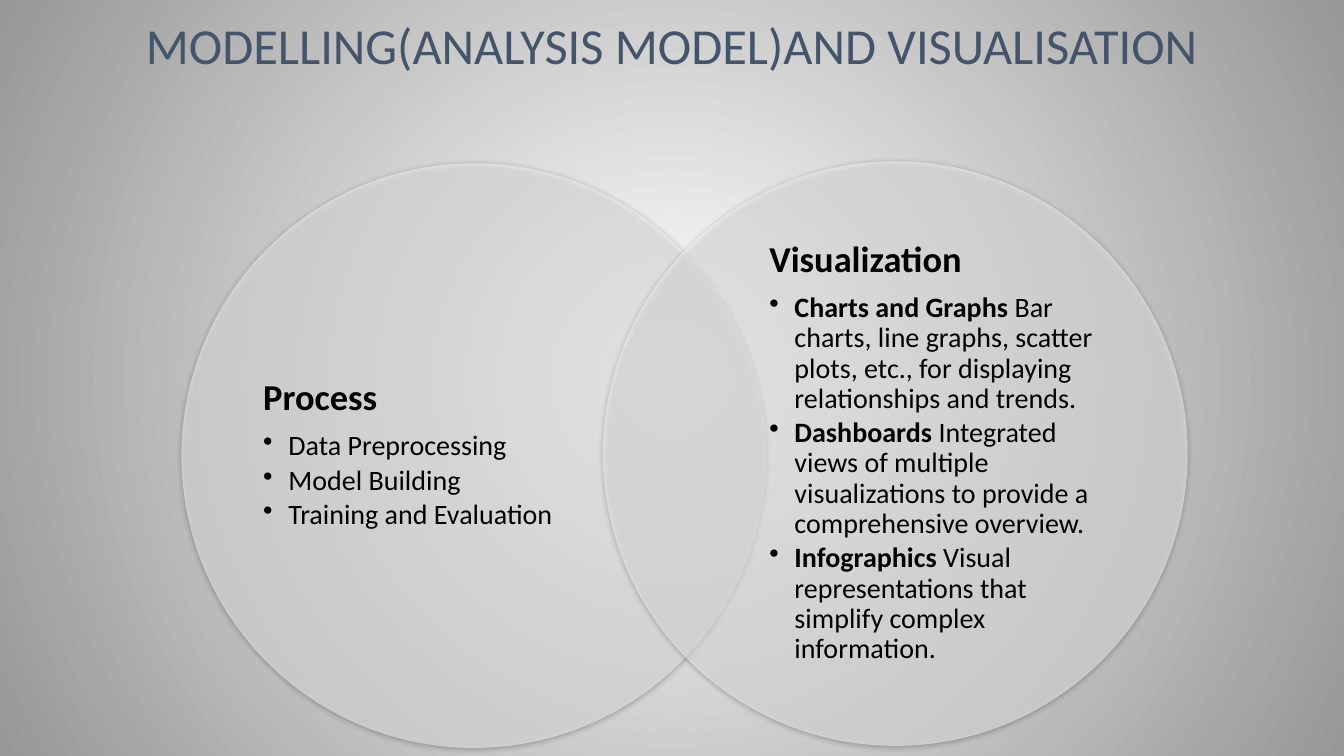
from lxml import etree
from pptx import Presentation
from pptx import util as u
from pptx.dml.color import RGBColor
from pptx.enum import shapes, text
from pptx.oxml import parse_xml
from pptx.oxml.ns import nsdecls, qn

WHITE = RGBColor(0xFF, 0xFF, 0xFF)
EDGE_GREY = RGBColor(0x97, 0x97, 0x97)
BLACK = RGBColor(0, 0, 0)
TITLE_BLUE = RGBColor(0x44, 0x54, 0x6A)

DIAMETER = 5.8
TEXT_WIDTH, TEXT_HEIGHT, TEXT_DROP = 3.35, 4.43, 0.68

# Each circle: left, top, text left, heading, bullets as (bold part, plain part)
CIRCLES = [
    (1.8, 1.62, 2.61, "Process", [
        ("", "Data Preprocessing"),
        ("", "Model Building"),
        ("", "Training and Evaluation"),
    ]),
    (5.98, 1.6, 7.63, "Visualization", [
        ("Charts and Graphs", " Bar charts, line graphs, scatter plots, etc., "
         "for displaying relationships and trends."),
        ("Dashboards", " Integrated views of multiple visualizations to "
         "provide a comprehensive overview."),
        ("Infographics", " Visual representations that simplify complex "
         "information."),
    ]),
]


def set_all(target, values):
    for name, value in values.items():
        setattr(target, name, value)


class VennSlide:
    font = "Calibri"
    line_spacing = 0.9

    def __init__(self, deck):
        self.slide = deck.slides.add_slide(deck.slide_layouts[6])

    def radial_background(self, center, edge):
        fill = self.slide.background.fill
        fill.gradient()
        for stop, color in zip(fill.gradient_stops, (center, edge)):
            stop.color.rgb = color
        gradient = self.slide._element.find(".//" + qn("a:gradFill"))
        gradient.remove(gradient.find(qn("a:lin")))
        gradient.append(parse_xml(
            f'<a:path {nsdecls("a")} path="circle"><a:fillToRect l="50000" '
            't="50000" r="50000" b="50000"/></a:path>'))

    def circle(self, left, top):
        """Add a half-transparent white circle with a soft shadow below it."""
        shape = self.slide.shapes.add_shape(
            shapes.MSO_SHAPE.OVAL, u.Inches(left), u.Inches(top),
            u.Inches(DIAMETER), u.Inches(DIAMETER))
        shape.fill.solid()
        shape.fill.fore_color.rgb = WHITE
        shape.line.fill.background()
        shape.shadow.inherit = False
        properties = shape._element.spPr
        color = properties.find(qn("a:solidFill"))[0]
        etree.SubElement(color, qn("a:alpha"), val="50000")
        properties.find(qn("a:effectLst")).append(parse_xml(
            f'<a:outerShdw {nsdecls("a")} blurRad="{u.Pt(3.5)}" '
            f'dist="{u.Pt(1.1)}" dir="5400000" rotWithShape="0">'
            '<a:srgbClr val="000000"><a:alpha val="45000"/></a:srgbClr>'
            '</a:outerShdw>'))

    def text_box(self, left, top, width, height):
        box = self.slide.shapes.add_textbox(*map(u.Inches, (left, top, width, height)))
        frame = box.text_frame
        set_all(frame, {
            "word_wrap": True, "vertical_anchor": text.MSO_ANCHOR.MIDDLE,
            "margin_left": 0, "margin_right": 0,
            "margin_top": 0, "margin_bottom": 0})
        return frame

    def format_para(self, para, after=0, align=text.PP_ALIGN.LEFT):
        set_all(para, {"line_spacing": self.line_spacing,
                       "space_after": u.Pt(after), "alignment": align})

    def span(self, para, words, size, color=BLACK, bold=False):
        span = para.add_run()
        span.text = words
        set_all(span.font, {"name": self.font, "size": u.Pt(size), "bold": bold})
        span.font.color.rgb = color

    def title(self, words):
        para = self.text_box(1.33, 0, 10.67, 0.95).paragraphs[0]
        self.format_para(para, align=text.PP_ALIGN.CENTER)
        self.span(para, words, 36, TITLE_BLUE)

    def bullet(self, frame, bold_part, plain_part):
        para = frame.add_paragraph()
        self.format_para(para, after=3)
        properties = para._p.get_or_add_pPr()
        properties.set("marL", str(u.Inches(0.25)))
        properties.set("indent", str(-u.Inches(0.25)))
        etree.SubElement(properties, qn("a:buChar"), char="•")
        if bold_part:
            self.span(para, bold_part, 20, bold=True)
        self.span(para, plain_part, 20)

    def topic(self, left, top, heading, bullets):
        frame = self.text_box(left, top, TEXT_WIDTH, TEXT_HEIGHT)
        para = frame.paragraphs[0]
        self.format_para(para, after=9)
        self.span(para, heading, 26, bold=True)
        for bold_part, plain_part in bullets:
            self.bullet(frame, bold_part, plain_part)


def main():
    deck = Presentation()
    set_all(deck, {"slide_width": u.Inches(13.33), "slide_height": u.Inches(7.5)})
    page = VennSlide(deck)
    page.radial_background(WHITE, EDGE_GREY)
    page.title("MODELLING(ANALYSIS MODEL)AND VISUALISATION")
    for left, top, text_left, heading, bullets in CIRCLES:
        page.circle(left, top)
        page.topic(text_left, top + TEXT_DROP, heading, bullets)
    deck.save("out.pptx")


if __name__ == "__main__":
    main()
